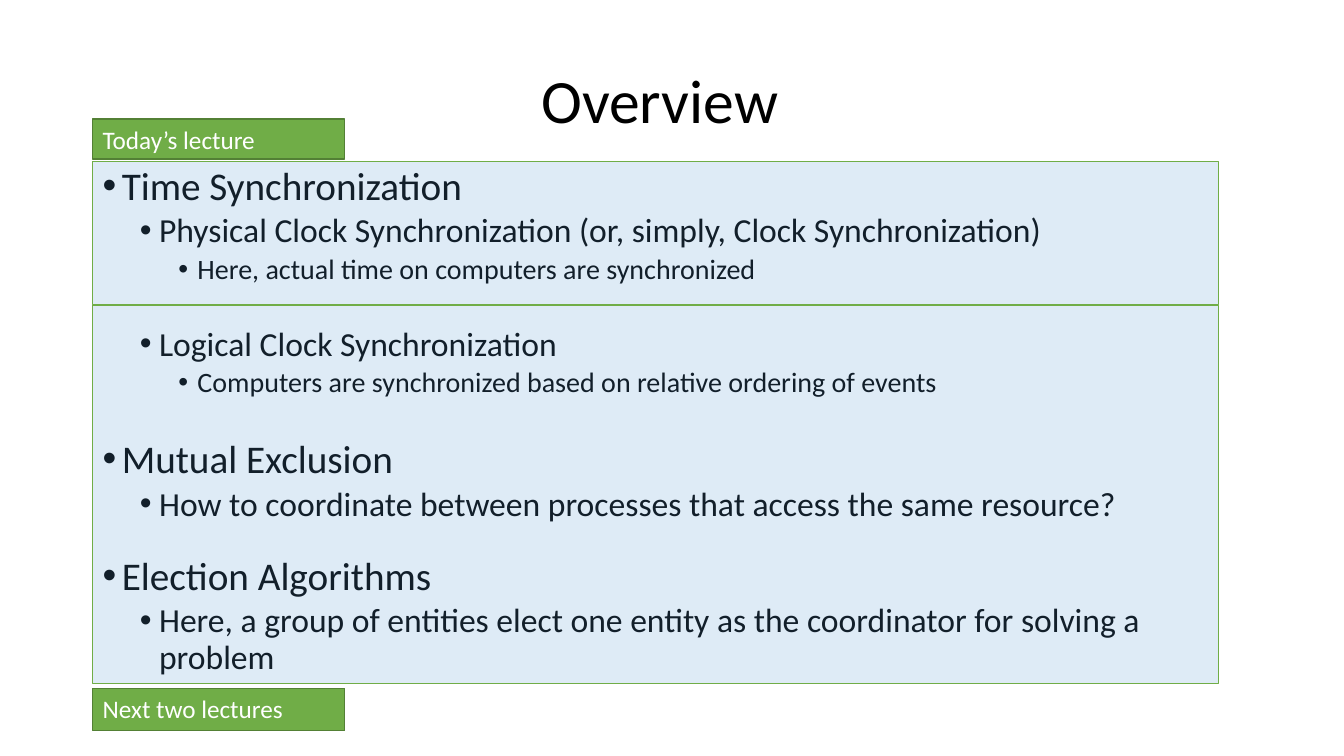
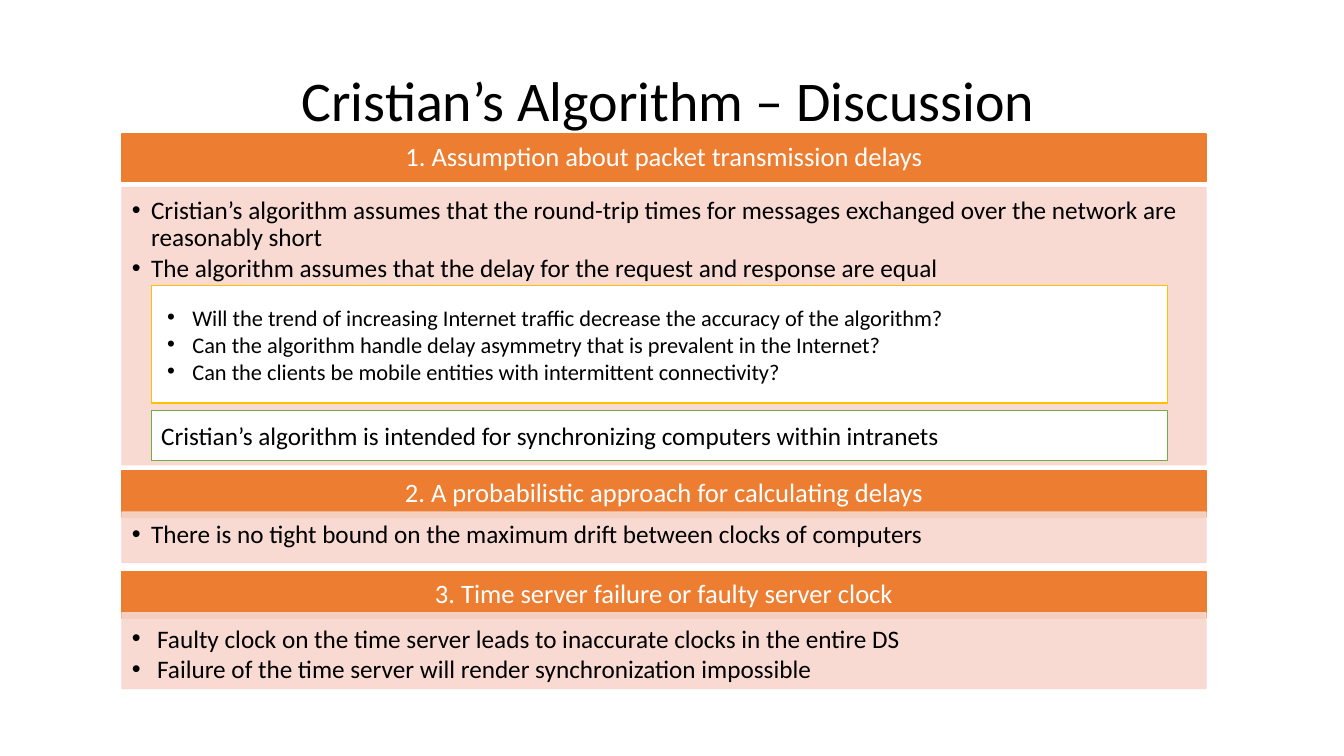
from lxml import etree
from pptx import Presentation
from pptx import util as u
from pptx.dml.color import RGBColor
from pptx.enum import shapes, text
from pptx.oxml.ns import qn

# Shared style
FONT = "Calibri"
BLACK, WHITE = "000000", "FFFFFF"
BLUE, GREEN, DARK_GREEN = "5B9BD5", "70AD47", "538035"
ORANGE, PEACH, GOLD = "ED7D31", "F8D7CE", "FFC000"
LEFT, CENTER = text.PP_ALIGN.LEFT, text.PP_ALIGN.CENTER
TOP, MIDDLE = text.MSO_ANCHOR.TOP, text.MSO_ANCHOR.MIDDLE
MARGINS = (0.1, 0.05, 0.1, 0.05)
PANEL_MARGINS = (0.1, 0.1, 0.14, 0)

# Outline levels: size, indent, space before
LEVELS = [(28, 0.19, 7.5), (24, 0.56, 3.8), (20, 0.94, 3.8)]
# Level, text, extra space above
OUTLINE = [
    (0, "Time Synchronization", 0),
    (1, "Physical Clock Synchronization (or, simply, Clock Synchronization)", 0),
    (2, "Here, actual time on computers are synchronized", 0),
    (1, "Logical Clock Synchronization", 25.8),
    (2, "Computers are synchronized based on relative ordering of events", 0),
    (0, "Mutual Exclusion", 21.4),
    (1, "How to coordinate between processes that access the same resource?", 0),
    (0, "Election Algorithms", 15.9),
    (1, "Here, a group of entities elect one entity as the coordinator "
        "for solving a problem", 0),
]

# Header, header top, header height, panel top, panel height, bullets, bullet format
TIGHT = {"indent": 0.19, "line_spacing": 0.9, "space_after": u.Pt(2.7)}
SECTIONS = [
    ("1. Assumption about packet transmission delays", 1.33, 0.47, 1.86, 2.75,
     ["Cristian’s algorithm assumes that the round-trip times for messages "
      "exchanged over the network are reasonably short",
      "The algorithm assumes that the delay for the request and response are equal"],
     TIGHT),
    ("2. A probabilistic approach for calculating delays", 4.67, 0.46, 5.08, 0.5,
     ["There is no tight bound on the maximum drift between clocks of computers"],
     TIGHT),
    ("3. Time server failure or faulty server clock", 5.67, 0.46, 6.08, 0.75,
     ["Faulty clock on the time server leads to inaccurate clocks in the entire DS",
      "Failure of the time server will render synchronization impossible"],
     {"indent": 0.25}),
]
QUESTIONS = [
    "Will the trend of increasing Internet traffic decrease the accuracy of the algorithm?",
    "Can the algorithm handle delay asymmetry that is prevalent in the Internet?",
    "Can the clients be mobile entities with intermittent connectivity?",
]


def rgb(value):
    return RGBColor.from_string(value)


def box(at):
    return [u.Inches(v) for v in at]


def setup_frame(tf, anchor=TOP, margins=MARGINS):
    tf.word_wrap = True
    tf.auto_size = text.MSO_AUTO_SIZE.NONE
    tf.vertical_anchor = anchor
    for side, value in zip(("left", "top", "right", "bottom"), margins):
        setattr(tf, f"margin_{side}", u.Inches(value))


def add_bullet(p, indent, hang):
    pPr = p._p.get_or_add_pPr()
    pPr.set("marL", str(u.Inches(indent)))
    pPr.set("indent", str(-u.Inches(hang)))
    etree.SubElement(pPr, qn("a:buFont")).set("typeface", "Arial")
    etree.SubElement(pPr, qn("a:buChar")).set("char", "•")


def add_paragraph(tf, words, size, color=BLACK, indent=None, hang=None, **formats):
    """Fill the first paragraph if it is still empty, otherwise append one."""
    p = tf.paragraphs[0] if not tf.text else tf.add_paragraph()
    for name, value in {"alignment": LEFT, **formats}.items():
        setattr(p, name, value)
    if indent is not None:
        add_bullet(p, indent, hang or indent)
    r = p.add_run()
    r.text = words
    r.font.name = FONT
    r.font.size = u.Pt(size)
    r.font.color.rgb = rgb(color)


def add_box(s, at, fill, line, width=1, opacity=100, anchor=MIDDLE, margins=MARGINS):
    """Add a rectangle and return its text frame."""
    sp = s.shapes.add_shape(shapes.MSO_SHAPE.RECTANGLE, *box(at))
    sp.shadow.inherit = False
    sp.fill.solid()
    sp.fill.fore_color.rgb = rgb(fill)
    sp.line.color.rgb = rgb(line)
    sp.line.width = u.Pt(width)
    if opacity < 100:
        for clr in sp._element.spPr.iter(qn("a:srgbClr")):
            if clr.get("val") == fill:
                etree.SubElement(clr, qn("a:alpha")).set("val", str(opacity * 1000))
    setup_frame(sp.text_frame, anchor, margins)
    return sp.text_frame


def add_slide(prs, title, size, width):
    s = prs.slides.add_slide(prs.slide_layouts[5])
    sp = s.shapes.title
    sp.left, sp.top, sp.width, sp.height = box((1.92, 0.3, width, 1.45))
    setup_frame(sp.text_frame, MIDDLE)
    add_paragraph(sp.text_frame, title, size, alignment=CENTER, line_spacing=0.9)
    return s


def overview_slide(prs):
    s = add_slide(prs, "Overview", 44, 9.25)
    left, width = 0.92, 11.16

    # Outline
    tf = s.shapes.add_textbox(*box((left, 1.6, width, 5.75))).text_frame
    setup_frame(tf)
    for level, words, gap in OUTLINE:
        size, indent, before = LEVELS[level]
        add_paragraph(tf, words, size, indent=indent, hang=0.19, level=level,
                      line_spacing=0.9, space_before=u.Pt(before + gap))

    # Tinted areas with their lecture tags
    for top, height in ((1.6, 1.42), (3.03, 3.75)):
        add_box(s, (left, top, width, height), BLUE, GREEN, width=0.5, opacity=20)
    for words, top, height in (("Today’s lecture", 1.18, 0.4),
                               ("Next two lectures", 6.83, 0.42)):
        tf = add_box(s, (left, top, 2.5, height), GREEN, DARK_GREEN, anchor=TOP)
        add_paragraph(tf, words, 18, WHITE)


def discussion_slide(prs):
    s = add_slide(prs, "Cristian’s Algorithm – Discussion", 40, 9.41)
    left, width = 1.21, 10.75

    # Sections: header band and bullet panel
    for header, top, height, panel_top, panel_height, bullets, formats in SECTIONS:
        tf = add_box(s, (left, top, width, height), ORANGE, ORANGE)
        add_paragraph(tf, header, 19, WHITE, alignment=CENTER, line_spacing=0.9)
        tf = add_box(s, (left, panel_top, width, panel_height), PEACH, PEACH,
                     opacity=90, anchor=TOP, margins=PANEL_MARGINS)
        for words in bullets:
            add_paragraph(tf, words, 18, **formats)

    # Questions and conclusion inside the first panel
    tf = add_box(s, (1.5, 2.83, 10.08, 1.17), WHITE, GOLD)
    for words in QUESTIONS:
        add_paragraph(tf, words, 16, indent=0.31, hang=0.25)
    tf = add_box(s, (1.5, 4.07, 10.08, 0.5), WHITE, GREEN)
    add_paragraph(tf, "Cristian’s algorithm is intended for synchronizing "
                      "computers within intranets", 18)


def main():
    prs = Presentation()
    prs.slide_width, prs.slide_height = u.Inches(13.33), u.Inches(7.5)
    overview_slide(prs)
    discussion_slide(prs)
    prs.save("out.pptx")


if __name__ == "__main__":
    main()
